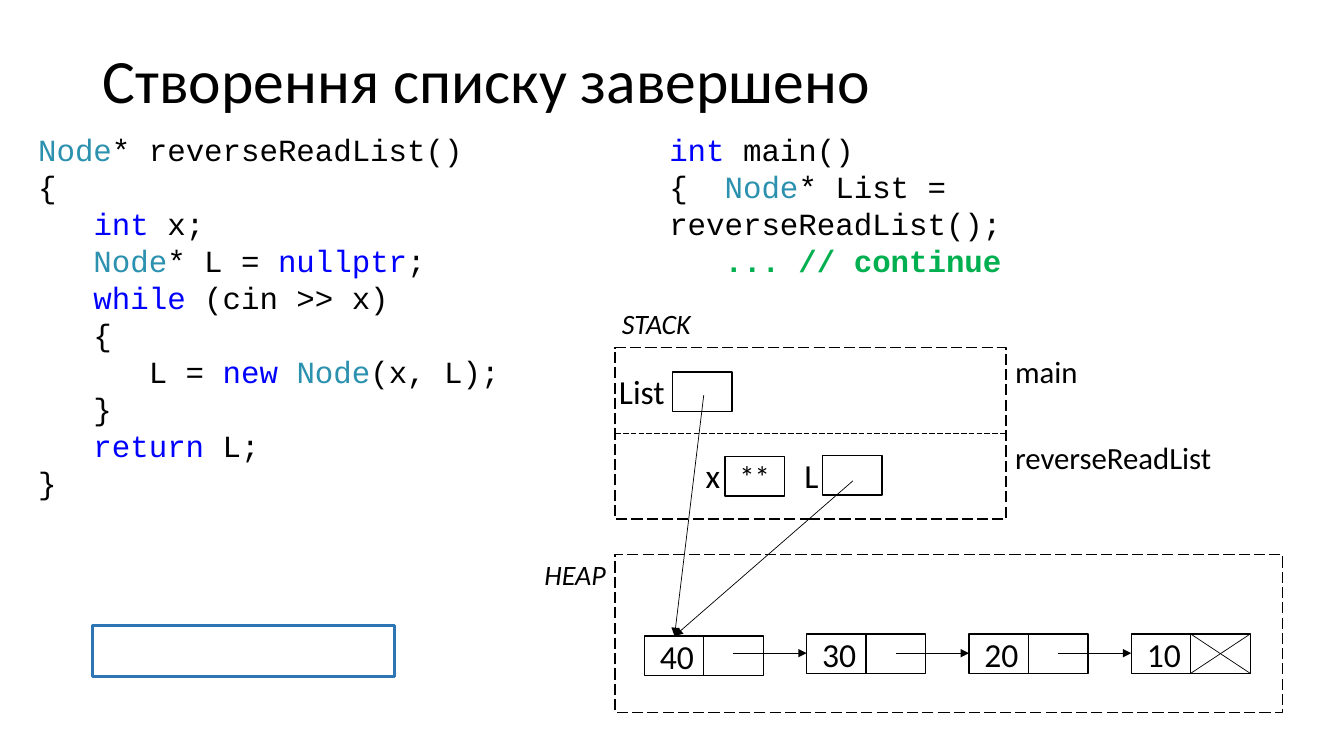
from lxml.etree import SubElement
from pptx import Presentation
from pptx.dml.color import RGBColor
from pptx.enum.dml import MSO_LINE
from pptx.enum.shapes import MSO_CONNECTOR, MSO_SHAPE
from pptx.enum.text import MSO_ANCHOR, PP_ALIGN
from pptx.oxml.ns import qn
from pptx.util import Inches, Pt

COLORS = {"text": "000000", "keyword": "0000FF", "type": "2B91AF",
          "comment": "00B050", "frame": "2E75B6"}
CELL_WIDTH, CELL_HEIGHT = 0.59, 0.39
NODE_LEFT, NODE_STEP = 6.39, 1.61

READ_LIST_CODE = [
    [("Node", "type"), ("* reverseReadList()", "text")],
    [("{", "text")],
    [("   ", "text"), ("int", "keyword"), (" x;", "text")],
    [("   Node", "type"), ("* L = ", "text"), ("nullptr", "keyword"), (";", "text")],
    [("   while", "keyword"), (" (cin >> x)", "text")],
    [("   {", "text")],
    [("      L = ", "text"), ("new", "keyword"), (" ", "text"),
     ("Node", "type"), ("(x, L);", "text")],
    [("   }", "text")],
    [("   return", "keyword"), (" L;", "text")],
    [("}", "text")],
]
MAIN_CODE = [
    [("int", "keyword"), (" main()", "text")],
    [("{  ", "text"), ("Node", "type"), ("* List = reverseReadList();", "text")],
    [("   ", "text"), ("... // continue", "comment")],
]


def color(name):
    return RGBColor.from_string(COLORS[name])


def write(shape, lines, size=24, font="Calibri", italic=False, spacing=None,
          align=PP_ALIGN.LEFT, anchor=MSO_ANCHOR.TOP, right_inset=0.1):
    """Fill a shape with lines, each a list of (text, colour name) spans."""
    frame = shape.text_frame
    frame.word_wrap = True
    frame.vertical_anchor = anchor
    frame.margin_right = Inches(right_inset)
    for index, line in enumerate(lines):
        para = frame.add_paragraph() if index else frame.paragraphs[0]
        para.alignment = align
        if spacing:
            para.line_spacing = spacing
        for text, name in line:
            span = para.add_run()
            span.text = text
            span.font.size = Pt(size)
            span.font.name = font
            span.font.italic = italic
            span.font.bold = name == "comment"
            span.font.color.rgb = color(name)


def add_text(page, left, top, width, height, lines, **style):
    box = page.shapes.add_textbox(Inches(left), Inches(top), Inches(width), Inches(height))
    write(box, lines, **style)


def add_label(page, left, top, width, text, **style):
    add_text(page, left, top, width, 0.47, [[(text, "text")]], right_inset=0, **style)


def add_box(page, left, top, width=CELL_WIDTH, height=CELL_HEIGHT,
            line="text", weight=1, dashed=False):
    box = page.shapes.add_shape(MSO_SHAPE.RECTANGLE, Inches(left), Inches(top),
                                Inches(width), Inches(height))
    box.shadow.inherit = False
    box.fill.background()
    box.line.color.rgb = color(line)
    box.line.width = Pt(weight)
    if dashed:
        box.line.dash_style = MSO_LINE.LONG_DASH
    return box


def add_cell(page, left, top, text="", **style):
    cell = add_box(page, left, top)
    if text:
        write(cell, [[(text, "text")]], anchor=MSO_ANCHOR.MIDDLE, **style)


def add_line(page, start, end, arrow=False, dashed=False):
    line = page.shapes.add_connector(MSO_CONNECTOR.STRAIGHT,
                                     *[Inches(value) for value in (*start, *end)])
    line.line.color.rgb = color("text")
    line.line.width = Pt(0.5)
    if dashed:
        line.line.dash_style = MSO_LINE.LONG_DASH
    if arrow:
        SubElement(line.line._get_or_add_ln(), qn("a:tailEnd"), type="triangle")
    SubElement(line._element.spPr, qn("a:effectLst"))


def add_stack(page):
    add_label(page, 6.07, 2.99, 0.9, "STACK", size=20, italic=True)
    add_box(page, 6.1, 3.45, 3.88, 1.7, dashed=True)
    add_line(page, (6.1, 4.3), (9.97, 4.3), dashed=True)
    add_label(page, 9.97, 3.45, 0.83, "main", size=22)
    add_label(page, 9.97, 4.3, 2.17, "reverseReadList", size=22)

    # Variables
    add_label(page, 6.04, 3.63, 0.68, "List")
    add_cell(page, 6.67, 3.69)
    add_label(page, 6.9, 4.46, 0.28, "x")
    add_cell(page, 7.19, 4.53, "**", size=22, align=PP_ALIGN.CENTER)
    add_label(page, 7.88, 4.46, 0.28, "L")
    add_cell(page, 8.16, 4.52)


def add_heap(page):
    add_label(page, 5.3, 5.48, 0.82, "HEAP", size=20, italic=True)
    add_box(page, 6.1, 5.5, 6.62, 1.57, dashed=True)

    # Linked nodes
    values = ["40", "30", "20", "10"]
    for index, value in enumerate(values):
        left = NODE_LEFT + index * NODE_STEP
        link = left + CELL_WIDTH
        top = 6.29 if index else 6.31
        add_cell(page, left, top, value, align=PP_ALIGN.RIGHT)
        add_cell(page, link, top)
        if index < len(values) - 1:
            add_line(page, (link + CELL_WIDTH / 2, 6.48), (left + NODE_STEP, 6.48), arrow=True)

    # Crossed cell marks the null link of the last node
    right, bottom = link + CELL_WIDTH, top + CELL_HEIGHT
    add_line(page, (link, top), (right, bottom))
    add_line(page, (link, bottom), (right, top))


def main():
    deck = Presentation()
    deck.slide_width, deck.slide_height = Inches(13.33), Inches(7.5)
    page = deck.slides.add_slide(deck.slide_layouts[6])

    # Title and code
    add_text(page, 0.92, 0.4, 11.5, 0.85, [[("Створення списку завершено", "text")]],
             size=44, spacing=0.9, anchor=MSO_ANCHOR.MIDDLE)
    add_text(page, 6.54, 1.25, 6.04, 1.21, MAIN_CODE, size=22, font="Courier New")
    add_text(page, 0.28, 1.25, 5.02, 3.8, READ_LIST_CODE, size=22, font="Courier New")

    # Input field
    add_box(page, 0.92, 6.21, 2.99, 0.5, line="frame", weight=2.25)

    # Memory diagram
    add_stack(page)
    add_heap(page)
    for start in [(6.98, 3.92), (8.46, 4.77)]:
        add_line(page, start, (6.69, 6.31), arrow=True)

    deck.save("out.pptx")


main()
